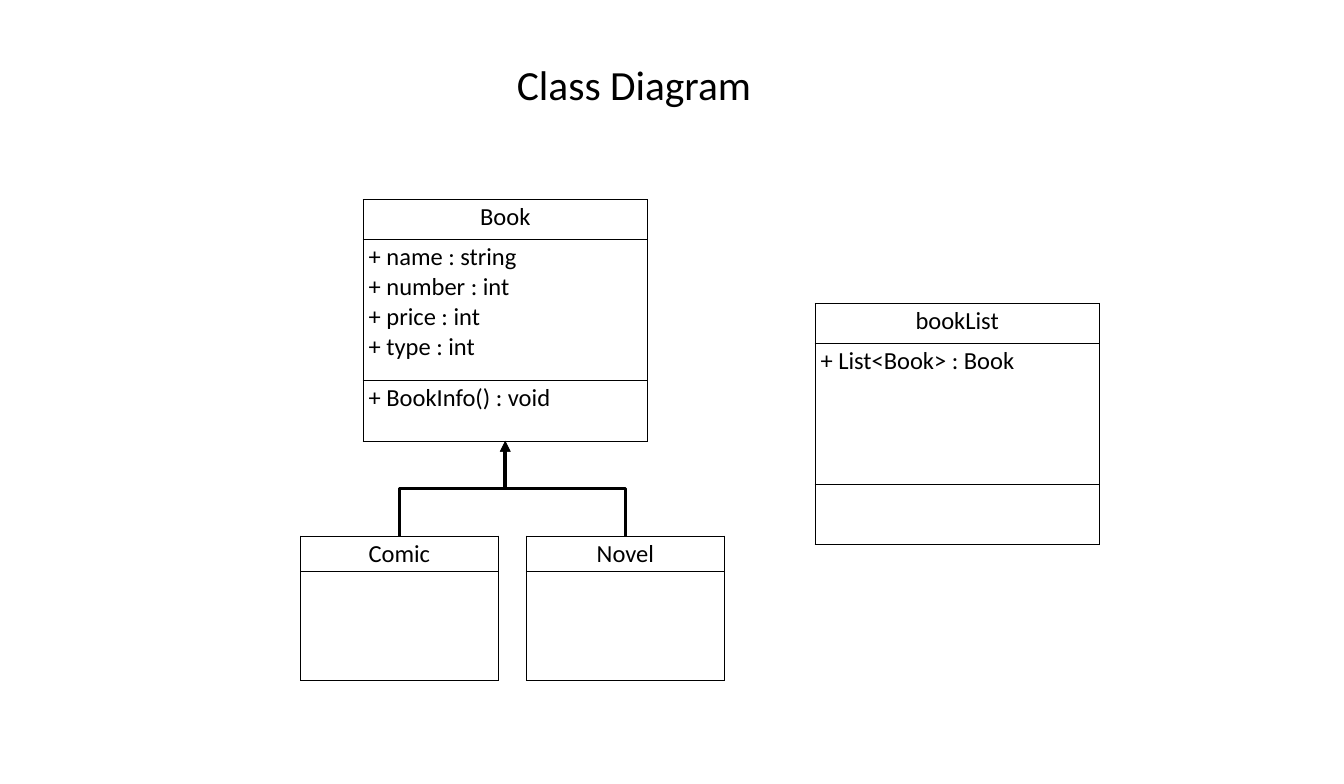
from lxml import etree
from pptx import Presentation, util as u
from pptx.dml import color
from pptx.enum import shapes, text
from pptx.oxml import ns

WIDTH, HEIGHT = 23.62, 13.78
BLACK = "000000"
CLASS_WIDTH, SUBCLASS_WIDTH = 21.17, 14.73
CLASS_ROWS, SUBCLASS_ROWS = (5.08, 18, 7.69), (4.57, 13.86)
BOOK_LEFT, BOOK_TOP = 27.01, 25.47
SUBCLASS_TOP = 68.36
SUBCLASSES = {"Comic": 22.35, "Novel": 39.16}


def cols(count):
    return u.Inches(WIDTH * count / 100)


def rows(count):
    return u.Inches(HEIGHT * count / 100)


def rgb(value):
    return color.RGBColor.from_string(value)


def write(frame, lines, size, align):
    for index, line in enumerate(lines):
        paragraph = frame.add_paragraph() if index else frame.paragraphs[0]
        paragraph.alignment = align
        run = paragraph.add_run()
        run.text = line
        for name, value in {"name": "Calibri", "size": u.Pt(size)}.items():
            setattr(run.font, name, value)
        run.font.color.rgb = rgb(BLACK)


def add_title(slide, wording):
    title = slide.shapes.add_textbox(cols(37.6), rows(7.11), cols(19.14), rows(7.11))
    title.text_frame.word_wrap = True
    write(title.text_frame, [wording], 52.5, text.PP_ALIGN.CENTER)


def add_borders(cell):
    properties = cell._tc.get_or_add_tcPr()
    for position, side in enumerate(("lnL", "lnR", "lnT", "lnB")):
        border = etree.Element(ns.qn(f"a:{side}"), w=str(u.Pt(1)))
        fill = etree.SubElement(border, ns.qn("a:solidFill"))
        etree.SubElement(fill, ns.qn("a:srgbClr"), val=BLACK)
        properties.insert(position, border)


def add_class(slide, left, top, width, heights, compartments):
    frame = slide.shapes.add_table(
        len(heights), 1, cols(left), rows(top), cols(width), rows(sum(heights)))
    table = frame.table
    for name in ("first_row", "horz_banding"):
        setattr(table, name, False)
    for index, (height, lines) in enumerate(zip(heights, compartments)):
        table.rows[index].height = rows(height)
        cell = table.cell(index, 0)
        cell.fill.background()
        add_borders(cell)
        align = text.PP_ALIGN.LEFT if index else text.PP_ALIGN.CENTER
        write(cell.text_frame, lines, 31, align)


def add_inheritance(slide, child_x, child_y, parent_x, parent_y):
    middle_x, middle_y = (child_x + parent_x) // 2, (child_y + parent_y) // 2
    rise, run = (child_y - parent_y) // 2, (child_x - parent_x) // 2
    arrow = slide.shapes.add_connector(
        shapes.MSO_CONNECTOR.ELBOW,
        middle_x - rise, middle_y + run, middle_x + rise, middle_y - run)
    arrow.line.width = u.Pt(4.5)
    arrow.line.color.rgb = rgb(BLACK)
    properties = arrow._element.spPr
    properties.find(ns.qn("a:xfrm")).set("rot", str(270 * 60000))
    etree.SubElement(properties.find(ns.qn("a:ln")), ns.qn("a:tailEnd"), type="triangle")
    etree.SubElement(properties, ns.qn("a:effectLst"))


def main():
    deck = Presentation()
    deck.slide_width, deck.slide_height = u.Inches(WIDTH), u.Inches(HEIGHT)
    slide = deck.slides.add_slide(deck.slide_layouts[6])
    add_title(slide, "Class Diagram")
    fields = ["+ name : string", "+ number : int", "+ price : int", "+ type : int"]
    add_class(slide, BOOK_LEFT, BOOK_TOP, CLASS_WIDTH, CLASS_ROWS,
              [["Book"], fields, ["+ BookInfo() : void"]])
    for name, left in SUBCLASSES.items():
        add_class(slide, left, SUBCLASS_TOP, SUBCLASS_WIDTH, SUBCLASS_ROWS, [[name], []])
    for left in reversed(SUBCLASSES.values()):
        add_inheritance(
            slide, cols(left + SUBCLASS_WIDTH / 2), rows(SUBCLASS_TOP),
            cols(BOOK_LEFT + CLASS_WIDTH / 2), rows(BOOK_TOP + sum(CLASS_ROWS)))
    add_class(slide, 60.63, 38.68, CLASS_WIDTH, CLASS_ROWS,
              [["bookList"], ["+ List<Book> : Book"], []])
    deck.save("out.pptx")


main()
